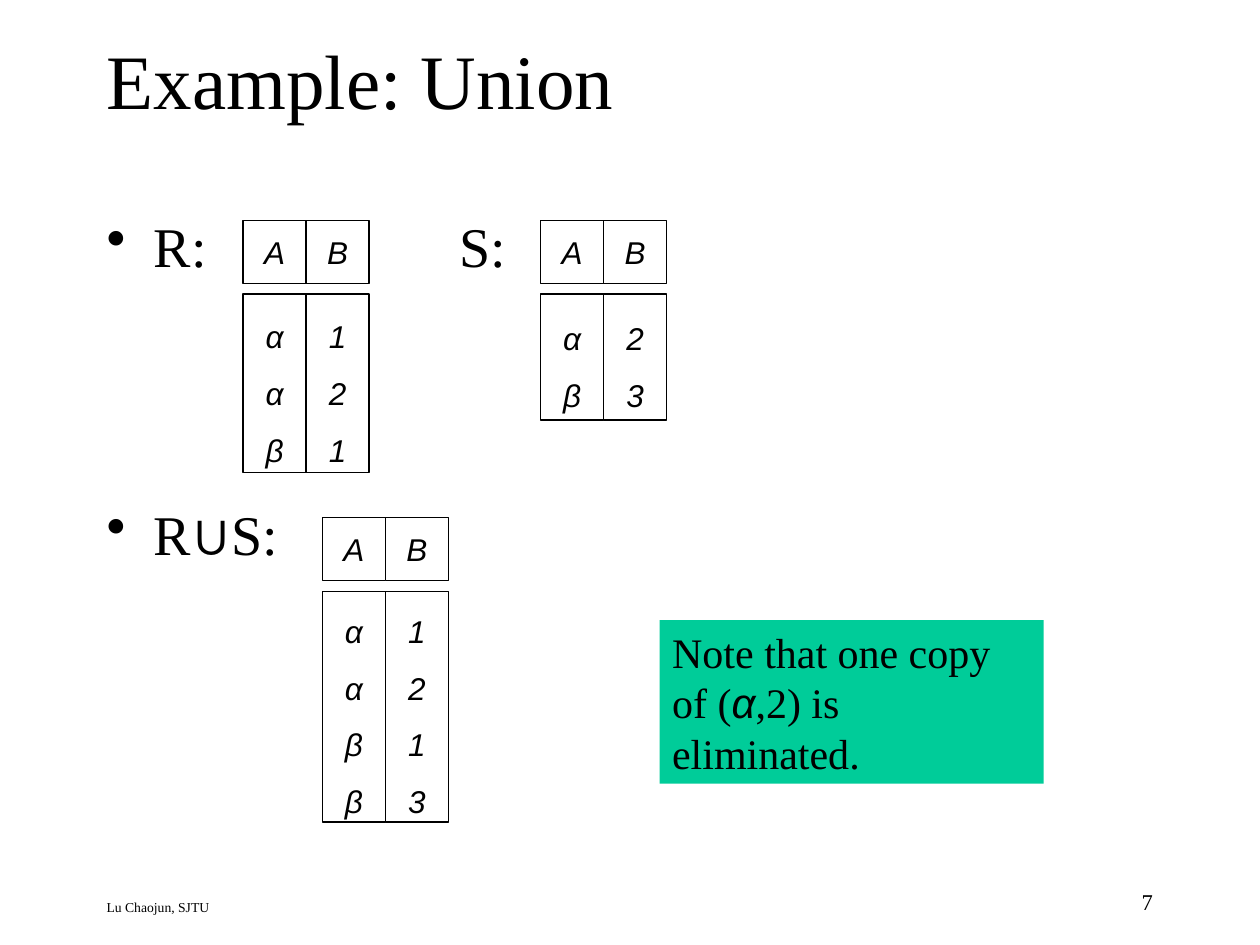
from lxml import etree
from pptx import Presentation
from pptx.dml.color import RGBColor
from pptx.enum.shapes import MSO_SHAPE
from pptx.enum.text import MSO_ANCHOR, PP_ALIGN
from pptx.oxml.ns import qn
from pptx.util import Cm, Pt

RECT = MSO_SHAPE.RECTANGLE
MIDDLE = MSO_ANCHOR.MIDDLE
LEFT, CENTER, RIGHT = PP_ALIGN.LEFT, PP_ALIGN.CENTER, PP_ALIGN.RIGHT
BLACK = RGBColor(0x00, 0x00, 0x00)
WHITE = RGBColor(0xFF, 0xFF, 0xFF)
GREEN = RGBColor(0x00, 0xCC, 0x99)
SERIF, SANS = "Times New Roman", "Arial"


def add_run(p, text, size, font=SERIF, italic=False):
    r = p.add_run()
    r.text = text
    r.font.size = Pt(size)
    r.font.name = font
    r.font.italic = italic
    r.font.color.rgb = BLACK


def add_text_frame(left, top, width, height, fill=None):
    if fill is None:
        sp = s.shapes.add_textbox(Cm(left), Cm(top), Cm(width), Cm(height))
    else:
        sp = s.shapes.add_shape(RECT, Cm(left), Cm(top), Cm(width), Cm(height))
        sp.shadow.inherit = False
        sp.fill.solid()
        sp.fill.fore_color.rgb = fill
        sp.line.fill.background()
    sp.text_frame.word_wrap = True
    return sp, sp.text_frame


prs = Presentation()
prs.slide_width, prs.slide_height = Cm(25.4), Cm(19.05)
s = prs.slides.add_slide(prs.slide_layouts[5])

title = s.shapes.title
title.left, title.top, title.width, title.height = Cm(1.9), Cm(0), Cm(21.6), Cm(3.18)
title.text_frame.vertical_anchor = MIDDLE
p = title.text_frame.paragraphs[0]
p.alignment = LEFT
add_run(p, "Example: Union", 44)

sp, tf = add_text_frame(1.9, 18, 14.73, 0.64)
add_run(tf.paragraphs[0], "Lu Chaojun, SJTU", 7.8)

sp, tf = add_text_frame(18.21, 17.78, 5.28, 0.84)
tf.paragraphs[0].alignment = RIGHT
add_run(tf.paragraphs[0], "7", 12.9)

sp, tf = add_text_frame(1.9, 4.14, 6, 8.5)
relation_labels = [
    (0, [("R:", SERIF)]),
    (126, [("R", SERIF), ("∪", SANS), ("S:", SERIF)]),
]
for i, (space, runs) in enumerate(relation_labels):
    p = tf.add_paragraph() if i else tf.paragraphs[0]
    p.alignment = LEFT
    p.space_before = Pt(space)
    pPr = p._p.get_or_add_pPr()
    pPr.set("marL", str(Cm(0.95)))
    pPr.set("indent", str(-Cm(0.95)))
    etree.SubElement(pPr, qn("a:buChar")).set("char", "•")
    for text, font in runs:
        add_run(p, text, 32, font)

sp, tf = add_text_frame(9.02, 4.14, 1.8, 1.6)
add_run(tf.paragraphs[0], "S:", 32)

CELL, BODY_OFFSET = 1.27, 1.48
relations = [
    (4.9, 4.45, 3.6, ["ααβ", "121"]),
    (10.9, 4.45, 2.54, ["αβ", "23"]),
    (6.5, 10.44, 4.65, ["ααββ", "1213"]),
]
for left, top, body_height, columns in relations:
    for col, (name, values) in enumerate(zip("AB", columns)):
        x = left + col * CELL
        parts = [(top, CELL, name, 1.0), (top + BODY_OFFSET, body_height, values, 1.5)]
        for y, height, lines, spacing in parts:
            sp, tf = add_text_frame(x, y, CELL, height, WHITE)
            sp.line.color.rgb = BLACK
            sp.line.width = Pt(0.75)
            tf.word_wrap = False
            tf.vertical_anchor = MIDDLE
            for i, value in enumerate(lines):
                p = tf.add_paragraph() if i else tf.paragraphs[0]
                p.alignment = CENTER
                p.line_spacing = spacing
                add_run(p, value, 18, SANS, True)

sp, tf = add_text_frame(13.3, 12.5, 7.74, 3.3, GREEN)
tf.vertical_anchor = MSO_ANCHOR.TOP
p = tf.paragraphs[0]
p.alignment = LEFT
add_run(p, "Note that one copy of (", 24)
add_run(p, "α", 24, SANS, True)
add_run(p, ",2) is eliminated.", 24)

prs.save("out.pptx")
